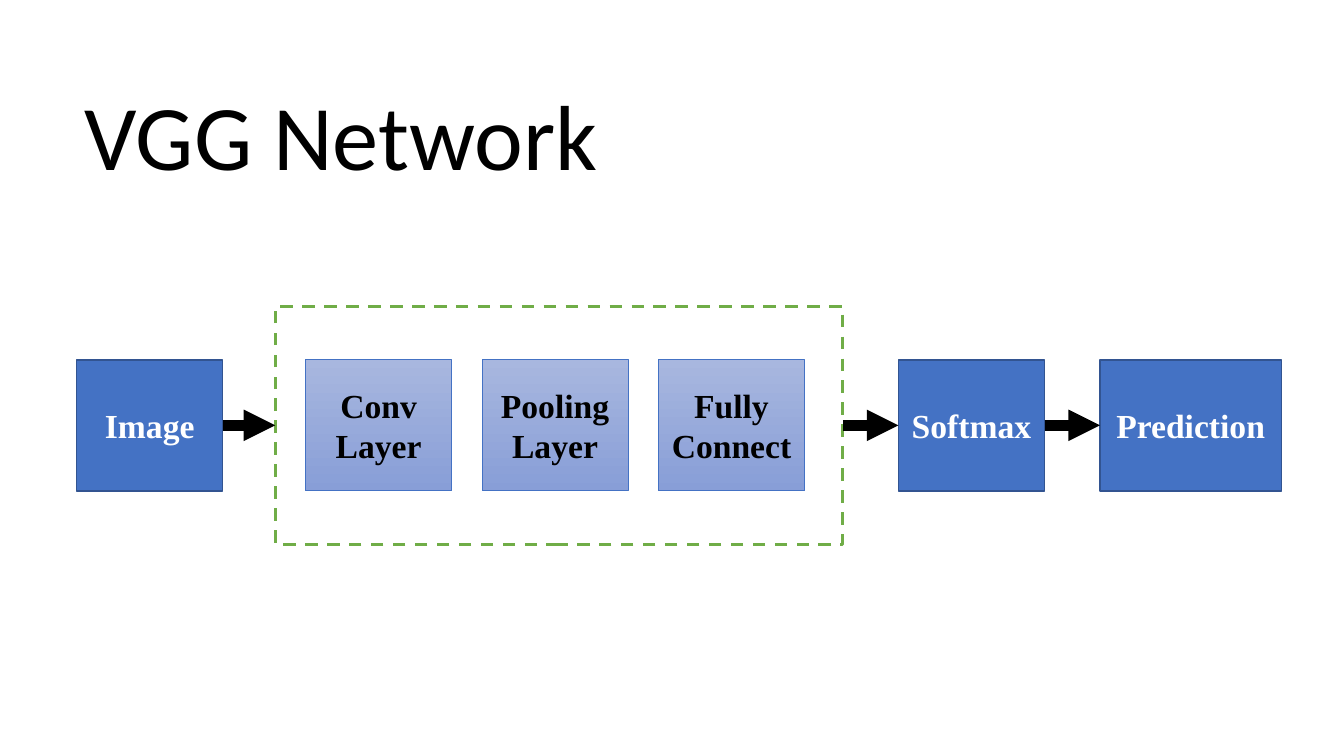
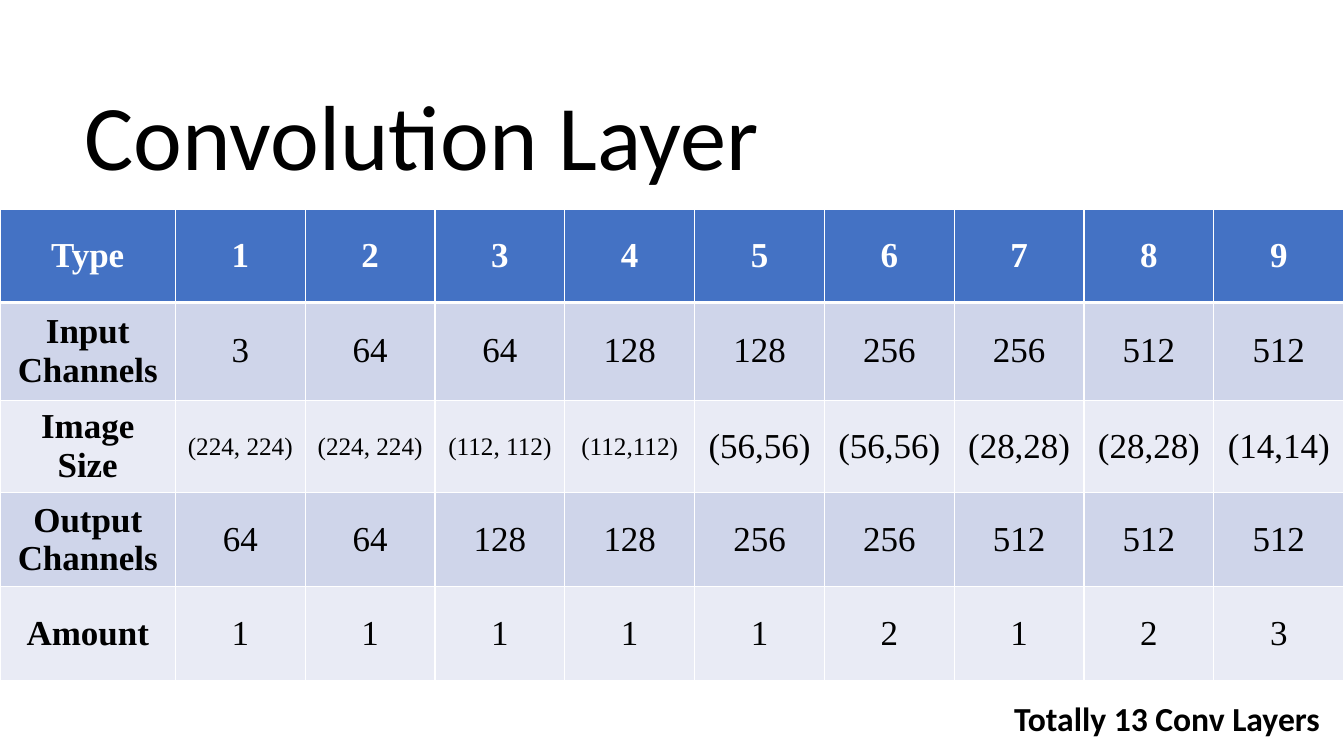
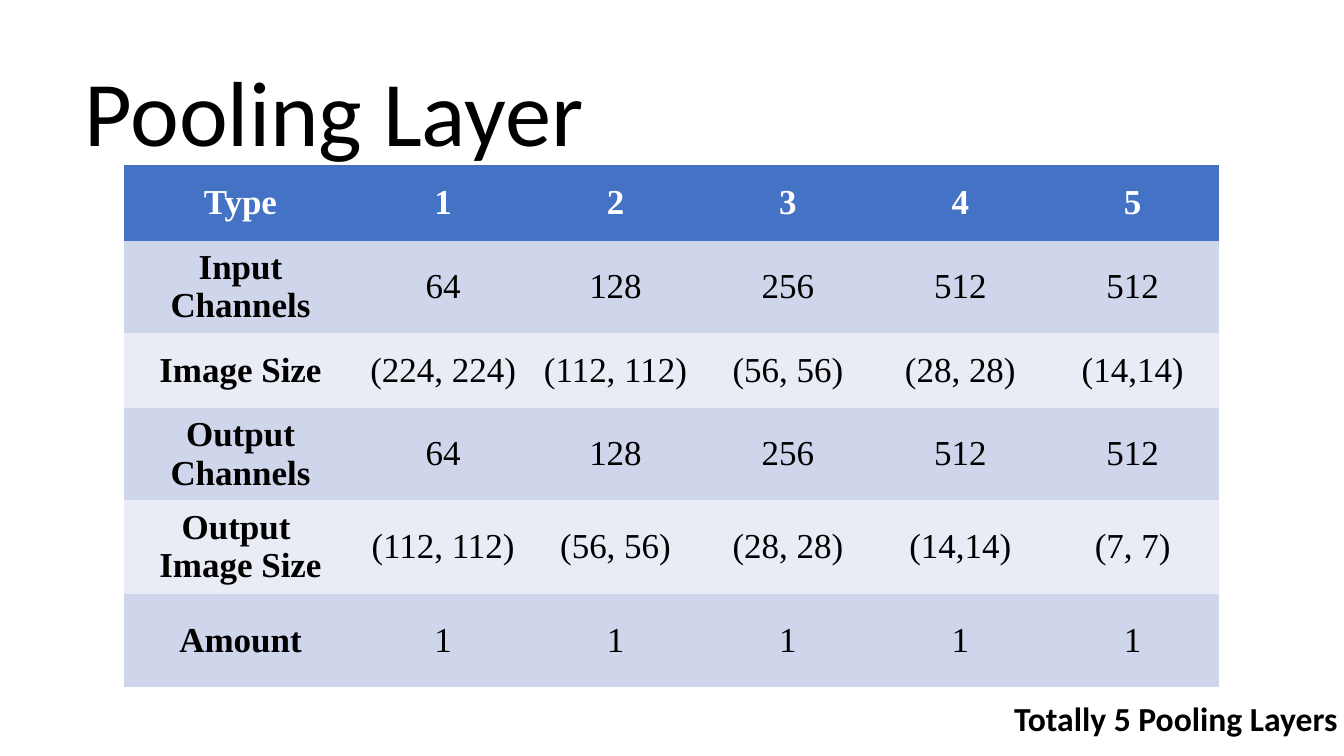
from dataclasses import dataclass

from pptx import Presentation
from pptx import util as u
from pptx.dml.color import RGBColor
from pptx.enum import dml, shapes, text
from pptx.oxml import ns, xmlchemy
from lxml import etree


@dataclass(frozen=True)
class Theme:
    blue: str = "4472C4"
    blue_edge: str = "325491"
    layer_top: str = "A8B7DF"
    layer_bottom: str = "889ED7"
    green: str = "70AD47"
    bands: tuple = ("CFD5EA", "E9EBF5")
    white: str = "FFFFFF"
    black: str = "000000"
    sans: str = "Calibri"
    serif: str = "Times New Roman"
    title_size: int = 66
    label_size: int = 24
    cell_size: int = 25
    small_cell_size: int = 18


THEME = Theme()
SLIDE_W, SLIDE_H = 13.33, 7.5

# Network diagram: (lines, left, width)
STAGES = {
    "image": (["Image"], 0.76, 1.45),
    "softmax": (["Softmax"], 8.91, 1.45),
    "prediction": (["Prediction"], 10.91, 1.8),
}
LAYERS = [["Conv", "Layer"], ["Pooling Layer"], ["Fully", "Connect"]]
LAYER_LEFT, LAYER_STEP, LAYER_W = 3.03, 1.75, 1.45
FRAME_LEFT, FRAME_W, FRAME_H = 2.73, 5.63, 2.36
MIDDLE, BOX_H = 4.22, 1.3

TABLE_SLIDES = [
    dict(
        title="Convolution Layer", title_top=0.39,
        caption="Totally 13 Conv Layers",
        left=0, top=2.08, width=SLIDE_W, label_width=1.74,
        heights=[0.92, 0.97, 0.92, 0.93, 0.93],
        ruled=True, longest_full_size=7,
        rows=[
            ["Type", 1, 2, 3, 4, 5, 6, 7, 8, 9],
            ["Input Channels", 3, 64, 64, 128, 128, 256, 256, 512, 512],
            ["Image Size", "(224, 224)", "(224, 224)", "(112, 112)", "(112,112)",
             "(56,56)", "(56,56)", "(28,28)", "(28,28)", "(14,14)"],
            ["Output Channels", 64, 64, 128, 128, 256, 256, 512, 512, 512],
            ["Amount", 1, 1, 1, 1, 1, 2, 1, 2, 3],
        ],
    ),
    dict(
        title="Pooling Layer", title_top=0.16,
        caption="Totally 5 Pooling Layers",
        left=1.23, top=1.64, width=10.86, label_width=2.31,
        heights=[0.75, 0.91, 0.75, 0.91, 0.93, 0.93],
        ruled=False, longest_full_size=10,
        rows=[
            ["Type", 1, 2, 3, 4, 5],
            ["Input Channels", 64, 128, 256, 512, 512],
            ["Image Size", "(224, 224)", "(112, 112)", "(56, 56)", "(28, 28)", "(14,14)"],
            ["Output Channels", 64, 128, 256, 512, 512],
            ["Output \nImage Size", "(112, 112)", "(56, 56)", "(28, 28)", "(14,14)", "(7, 7)"],
            ["Amount", 1, 1, 1, 1, 1],
        ],
    ),
]


def rgb(colour):
    return RGBColor.from_string(colour)


def inches(*lengths):
    return [u.Inches(length) for length in lengths]


def write(frame, lines, size, font, colour=THEME.black, bold=False,
          align=text.PP_ALIGN.LEFT):
    """Fill a text frame with one paragraph per line and return the paragraphs."""
    for index, line in enumerate(lines):
        paragraph = frame.add_paragraph() if index else frame.paragraphs[0]
        paragraph.alignment = align
        run = paragraph.add_run()
        run.text = line
        run.font.size = u.Pt(size)
        run.font.name = font
        run.font.bold = bold
        run.font.color.rgb = rgb(colour)
    return frame.paragraphs


def add_titled_slide(deck, title, top):
    slide = deck.slides.add_slide(deck.slide_layouts[5])
    holder = slide.shapes.title
    holder.left, holder.top, holder.width, holder.height = inches(0.74, top, 10.14, 2)
    frame = holder.text_frame
    frame.word_wrap = True
    frame.auto_size = text.MSO_AUTO_SIZE.NONE
    frame.vertical_anchor = text.MSO_ANCHOR.MIDDLE
    for paragraph in write(frame, [title], THEME.title_size, THEME.sans):
        paragraph.line_spacing = 0.9
    return slide


def add_box(slide, left, width, height, edge, edge_width, lines=(), colour=THEME.black):
    """Add a rectangle centred on the diagram's middle line."""
    box = slide.shapes.add_shape(shapes.MSO_SHAPE.RECTANGLE,
                                 *inches(left, MIDDLE - height / 2, width, height))
    box.shadow.inherit = False
    box.line.color.rgb = rgb(edge)
    box.line.width = u.Pt(edge_width)
    box.text_frame.word_wrap = True
    box.text_frame.vertical_anchor = text.MSO_ANCHOR.MIDDLE
    write(box.text_frame, lines, THEME.label_size, THEME.serif, colour, True,
          text.PP_ALIGN.CENTER)
    return box


def add_stage(slide, lines, left, width):
    stage = add_box(slide, left, width, BOX_H, THEME.blue_edge, 1, lines, THEME.white)
    stage.fill.solid()
    stage.fill.fore_color.rgb = rgb(THEME.blue)
    return stage


def add_layer(slide, lines, left):
    layer = add_box(slide, left, LAYER_W, BOX_H, THEME.blue, 0.5, lines)
    layer.fill.gradient()
    layer.fill.gradient_angle = 270
    for stop, colour in zip(layer.fill.gradient_stops, (THEME.layer_top, THEME.layer_bottom)):
        stop.color.rgb = rgb(colour)


def add_arrow(slide, source, target):
    arrow = slide.shapes.add_connector(shapes.MSO_CONNECTOR.STRAIGHT, 0, 0, 0, 0)
    arrow.begin_connect(source, 3)
    arrow.end_connect(target, 1)
    arrow.line.color.rgb = rgb(THEME.black)
    arrow.line.width = u.Pt(7.5)
    etree.SubElement(arrow.line._get_or_add_ln(), ns.qn("a:tailEnd"), type="triangle")
    etree.SubElement(arrow._element.spPr, ns.qn("a:effectLst"))


def add_network_slide(deck):
    slide = add_titled_slide(deck, "VGG Network", 0.39)
    frame = add_box(slide, FRAME_LEFT, FRAME_W, FRAME_H, THEME.green, 2.25)
    frame.fill.background()
    frame.line.dash_style = dml.MSO_LINE.DASH
    for index, lines in enumerate(LAYERS):
        add_layer(slide, lines, LAYER_LEFT + index * LAYER_STEP)
    stage = {key: add_stage(slide, *parts) for key, parts in STAGES.items()}
    chain = [stage["image"], frame, stage["softmax"], stage["prediction"]]
    for source, target in zip(chain, chain[1:]):
        add_arrow(slide, source, target)


def set_borders(cell, widths):
    """Draw white borders in the order left, right, top, bottom; zero means none."""
    properties = cell._tc.get_or_add_tcPr()
    for index, (side, width) in enumerate(zip("LRTB", widths)):
        border = etree.Element(ns.qn(f"a:ln{side}"), w=str(int(u.Pt(width))))
        if width:
            fill = etree.SubElement(border, ns.qn("a:solidFill"))
            etree.SubElement(fill, ns.qn("a:srgbClr"), val=THEME.white)
        else:
            etree.SubElement(border, ns.qn("a:noFill"))
        properties.insert(index, border)


def add_layer_table(slide, spec):
    rows, heights = spec["rows"], spec["heights"]
    values = len(rows[0]) - 1
    value_width = (spec["width"] - spec["label_width"]) / values
    table = slide.shapes.add_table(
        len(rows), values + 1,
        *inches(spec["left"], spec["top"], spec["width"], sum(heights))).table
    table.first_row = table.horz_banding = False
    for column, width in zip(table.columns, [spec["label_width"]] + [value_width] * values):
        column.width = u.Inches(width)
    for r, (row, height) in enumerate(zip(rows, heights)):
        table.rows[r].height = u.Inches(height)
        header = r == 0
        rule = 1 if spec["ruled"] else 0
        borders = (rule, rule, rule * (3 if r == 1 else 1), rule * (3 if header else 1))
        for c, value in enumerate(row):
            cell = table.cell(r, c)
            cell.vertical_anchor = text.MSO_ANCHOR.MIDDLE
            cell.fill.solid()
            cell.fill.fore_color.rgb = rgb(THEME.blue if header else THEME.bands[(r - 1) % 2])
            set_borders(cell, borders)
            small = c > 0 and len(str(value)) > spec["longest_full_size"]
            write(cell.text_frame, str(value).split("\n"),
                  THEME.small_cell_size if small else THEME.cell_size, THEME.serif,
                  THEME.white if header else THEME.black, header or c == 0,
                  text.PP_ALIGN.CENTER)


def add_caption(slide, caption):
    left = 9.96
    frame = slide.shapes.add_textbox(*inches(left, 6.87, SLIDE_W - left, 0.5)).text_frame
    frame.word_wrap = True
    frame.margin_right = 0
    write(frame, [caption], THEME.label_size, THEME.sans, bold=True)


def main():
    deck = Presentation()
    deck.slide_width, deck.slide_height = inches(SLIDE_W, SLIDE_H)
    add_network_slide(deck)
    for spec in TABLE_SLIDES:
        slide = add_titled_slide(deck, spec["title"], spec["title_top"])
        add_layer_table(slide, spec)
        add_caption(slide, spec["caption"])
    deck.save("out.pptx")


if __name__ == "__main__":
    main()
